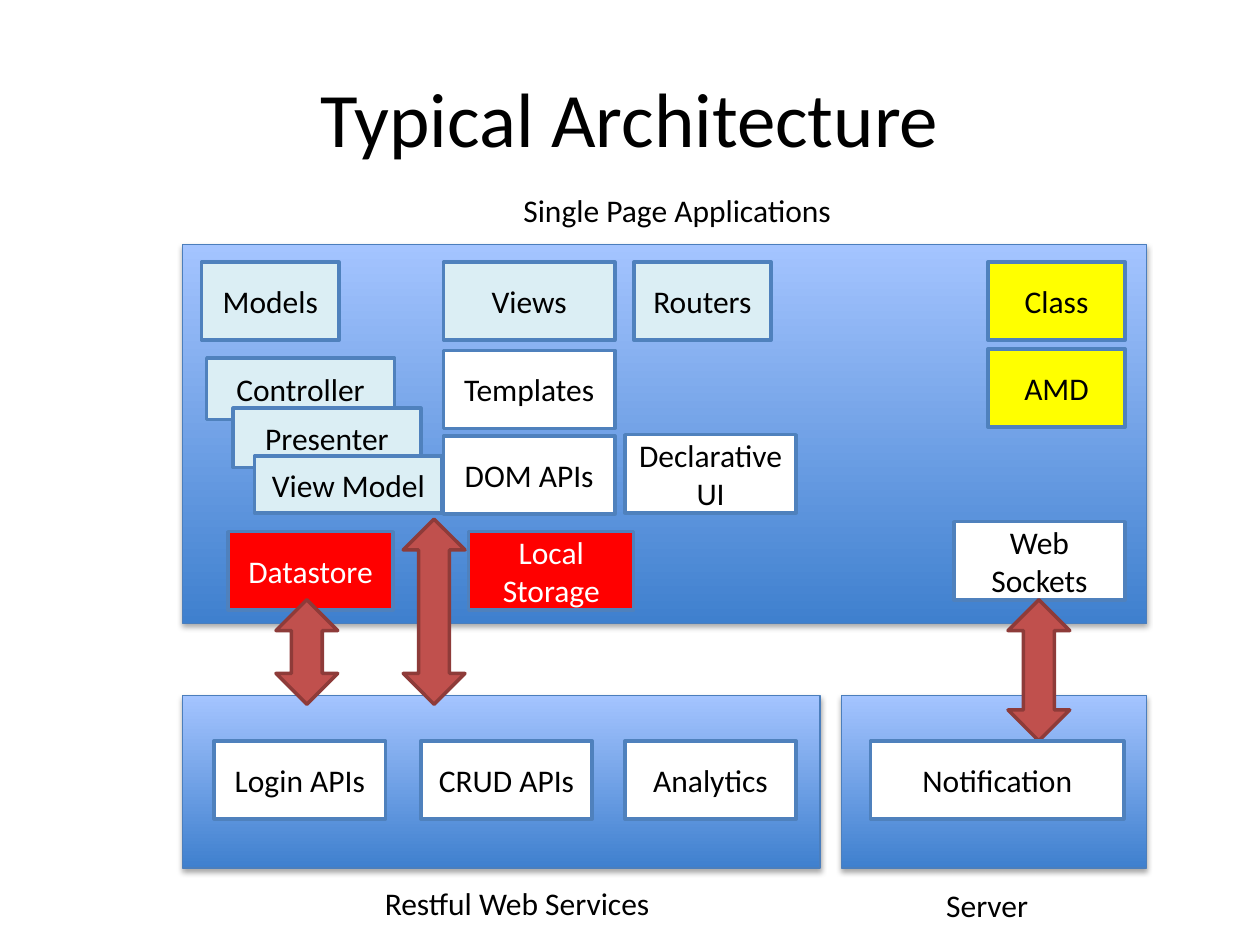
import pptx
import pptx.util
import pptx.dml.color
import pptx.enum.shapes
import pptx.enum.text
import pptx.oxml

PX = 9144  # EMU per px, 100 px to the inch
COLORS = {
    "black": "000000", "white": "FFFFFF", "pale": "DBEEF4", "yellow": "FFFF00",
    "red": "FF0000", "edge": "4F81BD", "panel_edge": "4B7EBC",
    "panel_low": "3F80CE", "panel_high": "A4C4FF",
    "arrow": "C0504D", "arrow_edge": "8E3B39",
}
SHADOW = (
    '<a:outerShdw xmlns:a="http://schemas.openxmlformats.org/drawingml/2006/main"'
    ' blurRad="40000" dist="23000" dir="5400000" rotWithShape="0">'
    '<a:srgbClr val="000000"><a:alpha val="35000"/></a:srgbClr></a:outerShdw>'
)
SHAPES = pptx.enum.shapes.MSO_SHAPE
RGB = pptx.dml.color.RGBColor.from_string

prs = pptx.Presentation()
prs.slide_width, prs.slide_height = 1000 * PX, 750 * PX
s = prs.slides.add_slide(prs.slide_layouts[5])


def add_block(kind, place, edge, width, fill=None):
    sp = s.shapes.add_shape(kind, *[n * PX for n in place])
    sp.shadow.inherit = False
    sp.line.color.rgb = RGB(COLORS[edge])
    sp.line.width = pptx.util.Pt(width)
    if fill:
        sp.fill.solid()
        sp.fill.fore_color.rgb = RGB(COLORS[fill])
    return sp


def set_text(sp, text, size=18, color="black"):
    tf = sp.text_frame
    tf.text = text
    tf.word_wrap = True
    p = tf.paragraphs[0]
    p.alignment = pptx.enum.text.PP_ALIGN.CENTER
    r = p.runs[0]
    r.font.size = pptx.util.Pt(size)
    r.font.name = "Calibri"
    r.font.color.rgb = RGB(COLORS[color])


# Title
title = s.shapes.title
title.left, title.top, title.width, title.height = 50 * PX, 30 * PX, 900 * PX, 125 * PX
set_text(title, "Typical Architecture", 44)
title.text_frame.vertical_anchor = pptx.enum.text.MSO_ANCHOR.MIDDLE

# Gradient panels: application, web services, server
for place in [(145, 194, 765, 301), (145, 552, 506, 137), (668, 552, 242, 137)]:
    sp = add_block(SHAPES.RECTANGLE, place, "panel_edge", 0.75)
    sp.fill.gradient()
    sp.fill.gradient_angle = 90
    for stop, name in zip(sp.fill.gradient_stops, ["panel_low", "panel_high"]):
        stop.color.rgb = RGB(COLORS[name])
    sp.shadow._element.effectLst.append(pptx.oxml.parse_xml(SHADOW))

# Panel captions
captions = [
    ("Single Page Applications", 379, 147, 317),
    ("Restful Web Services", 252, 697, 317),
    ("Server", 691, 698, 185),
]
for text, x, y, w in captions:
    set_text(s.shapes.add_textbox(x * PX, y * PX, w * PX, 40 * PX), text)

# Application components
app_boxes = [
    ("Models", 160, 208, 109, 62, "pale"),
    ("Views", 352, 208, 136, 62, "pale"),
    ("Routers", 503, 208, 109, 62, "pale"),
    ("Class", 784, 208, 109, 62, "yellow"),
    ("AMD", 784, 277, 109, 62, "yellow"),
    ("Controller", 164, 284, 149, 49, "pale"),
    ("Presenter", 185, 324, 149, 47, "pale"),
    ("View Model", 202, 362, 149, 45, "pale"),
    ("Templates", 352, 278, 136, 62, "white"),
    ("DOM APIs", 352, 346, 136, 62, "white"),
    ("Declarative UI", 496, 345, 136, 62, "white"),
    ("Datastore", 181, 422, 131, 62, "red"),
    ("Local Storage", 372, 422, 131, 62, "red"),
    ("Web Sockets", 757, 414, 136, 62, "white"),
]
# Back-end components
server_boxes = [
    ("Login APIs", 170, 588, 136, 62, "white"),
    ("CRUD APIs", 334, 588, 136, 62, "white"),
    ("Analytics", 496, 588, 136, 62, "white"),
    ("Notification", 691, 588, 201, 62, "white"),
]
# Two-way arrows lie over the application boxes and under the back-end ones
arrows = [(219, 476, 49, 83), (320, 412, 49, 147), (800, 476, 49, 112)]

for boxes, links in [(app_boxes, arrows), (server_boxes, [])]:
    for text, *place, fill in boxes:
        sp = add_block(SHAPES.RECTANGLE, place, "edge", 2, fill)
        set_text(sp, text, color="white" if fill == "red" else "black")
    for place in links:
        add_block(SHAPES.UP_DOWN_ARROW, place, "arrow_edge", 2, "arrow")

prs.save("out.pptx")
